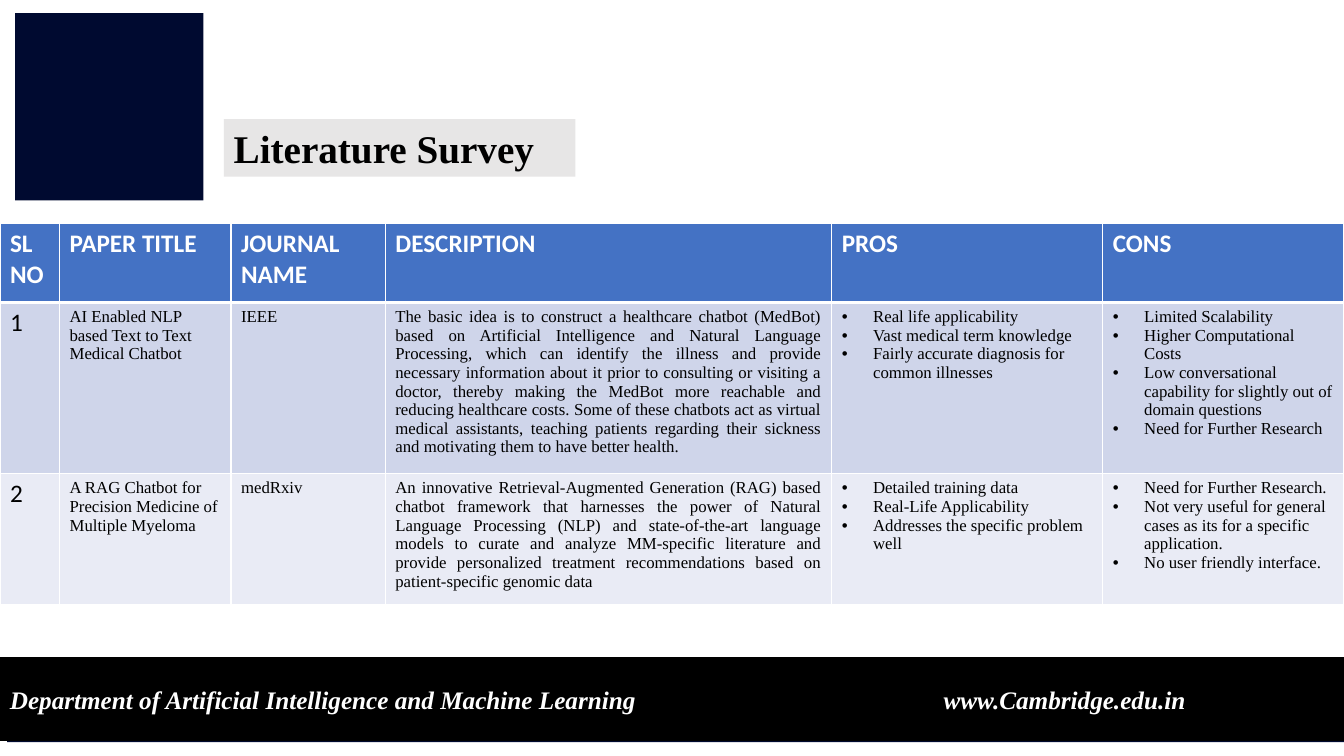
import pptx
import pptx.util
import pptx.dml.color
import pptx.enum.shapes
import pptx.enum.text
import lxml.etree
from pptx.util import Cm

SERIF, SANS = "Times New Roman", "Calibri"
WHITE, BLACK, NAVY = "FFFFFF", "000000", "000A30"
COLUMNS = [1.5, 4.32, 3.89, 11.25, 6.83, 6.08]
ROWS = [1.98, 4.32, 3.3]
ROW_FILLS = ["4472C4", "CFD5EA", "E9EBF5"]
HEADINGS = ["SL NO", "PAPER TITLE", "JOURNAL NAME", "DESCRIPTION", "PROS", "CONS"]
PAPERS = [
    ["1", "AI Enabled NLP based Text to Text Medical Chatbot", "IEEE",
     "The basic idea is to construct a healthcare chatbot (MedBot) based on Artificial "
     "Intelligence and Natural Language Processing, which can identify the illness and "
     "provide necessary information about it prior to consulting or visiting a doctor, "
     "thereby making the MedBot more reachable and reducing healthcare costs. Some of "
     "these chatbots act as virtual medical assistants, teaching patients regarding "
     "their sickness and motivating them to have better health.",
     ["Real life applicability", "Vast medical term knowledge",
      "Fairly accurate diagnosis for common illnesses"],
     ["Limited Scalability", "Higher Computational Costs",
      "Low conversational capability for slightly out of domain questions",
      "Need for Further Research"]],
    ["2", "A RAG Chatbot for Precision Medicine of Multiple Myeloma", "medRxiv",
     "An innovative Retrieval-Augmented Generation (RAG) based chatbot framework that "
     "harnesses the power of Natural Language Processing (NLP) and state-of-the-art "
     "language models to curate and analyze MM-specific literature and provide "
     "personalized treatment recommendations based on patient-specific genomic data",
     ["Detailed training data", "Real-Life Applicability",
      "Addresses the specific problem well"],
     ["Need for Further Research.",
      "Not very useful for general cases as its for a specific application.",
      "No user friendly interface."]],
]


def rgb(value):
    """Turn a hex string into a colour."""
    return pptx.dml.color.RGBColor.from_string(value)


def add_element(parent, tag, **attributes):
    """Append a DrawingML element to its parent."""
    name = pptx.oxml.ns.qn(f"a:{tag}")
    return lxml.etree.SubElement(parent, name, attributes)


def add_run(p, text, size, font, color, bold=False, italic=False):
    """Add one formatted run to a paragraph."""
    r = p.add_run()
    r.text = text
    r.font.size = pptx.util.Pt(size)
    r.font.name = font
    r.font.color.rgb = rgb(color)
    r.font.bold = bold
    r.font.italic = italic


def add_box(s, left, top, width, height, fill):
    """Draw a plain filled rectangle and return its first paragraph."""
    sp = s.shapes.add_shape(pptx.enum.shapes.MSO_SHAPE.RECTANGLE,
                            Cm(left), Cm(top), Cm(width), Cm(height))
    sp.shadow.inherit = False
    sp.fill.solid()
    sp.fill.fore_color.rgb = rgb(fill)
    sp.line.fill.background()
    sp.text_frame.word_wrap = True
    p = sp.text_frame.paragraphs[0]
    p.alignment = pptx.enum.text.PP_ALIGN.LEFT
    return p


def add_bullet(p):
    """Give a paragraph a hanging round bullet."""
    pPr = p._p.get_or_add_pPr()
    indent = Cm(0.79)
    pPr.set("marL", str(indent))
    pPr.set("indent", str(-indent))
    add_element(pPr, "buFont", typeface="Arial")
    add_element(pPr, "buChar", char="•")


def add_tab(p, position):
    """Set a left tab stop on a paragraph."""
    tabs = add_element(p._p.get_or_add_pPr(), "tabLst")
    add_element(tabs, "tab", pos=str(Cm(position)), algn="l")


def set_borders(cell, row):
    """Draw white cell borders, thicker below the header row."""
    widths = {"lnL": 1, "lnR": 1, "lnT": 3 if row == 1 else 1, "lnB": 3 if row == 0 else 1}
    for tag, width in widths.items():
        ln = add_element(cell._tc.get_or_add_tcPr(), tag, w=str(pptx.util.Pt(width)))
        add_element(add_element(ln, "solidFill"), "srgbClr", val=WHITE)


def fill_cell(cell, row, column, content):
    """Style one table cell and write its text or bullet list."""
    set_borders(cell, row)
    cell.fill.solid()
    cell.fill.fore_color.rgb = rgb(ROW_FILLS[row])
    header, bulleted = row == 0, isinstance(content, list)
    size, font = (18, SANS) if header or column == 0 else (12, SERIF)
    tf = cell.text_frame
    for i, text in enumerate(content if bulleted else [content]):
        p = tf.add_paragraph() if i else tf.paragraphs[0]
        if bulleted:
            add_bullet(p)
        elif not header and HEADINGS[column] == "DESCRIPTION":
            p.alignment = pptx.enum.text.PP_ALIGN.JUSTIFY
        add_run(p, text, size, font, WHITE if header else BLACK, bold=header)


def add_survey_table(s):
    """Add the table of surveyed papers."""
    table = s.shapes.add_table(len(ROWS), len(COLUMNS), Cm(0), Cm(5.64),
                               Cm(sum(COLUMNS)), Cm(sum(ROWS))).table
    for column, width in zip(table.columns, COLUMNS):
        column.width = Cm(width)
    for row, height in zip(table.rows, ROWS):
        row.height = Cm(height)
    for i, contents in enumerate([HEADINGS] + PAPERS):
        for j, content in enumerate(contents):
            fill_cell(table.cell(i, j), i, j, content)


def add_footer(s):
    """Add the footer band with department and web address."""
    add_box(s, 0.18, 16.64, 33.69, 2.06, NAVY)
    p = add_box(s, 0, 16.56, 33.87, 2.11, BLACK)
    add_tab(p, 23.53)
    for text in ["Department of Artificial Intelligence and Machine Learning",
                 "\twww.Cambridge.edu.in"]:
        add_run(p, text, 18, SERIF, WHITE, bold=True, italic=True)


def main():
    """Build the literature survey slide."""
    prs = pptx.Presentation()
    prs.slide_width, prs.slide_height = Cm(33.87), Cm(19.05)
    s = prs.slides.add_slide(prs.slide_layouts[6])
    add_box(s, 0.38, 0.33, 4.75, 4.72, NAVY)
    title = add_box(s, 5.64, 3, 8.86, 1.45, "E7E6E6")
    add_run(title, "Literature Survey", 28, SERIF, BLACK, bold=True)
    add_survey_table(s)
    add_footer(s)
    prs.save("out.pptx")


if __name__ == "__main__":
    main()
